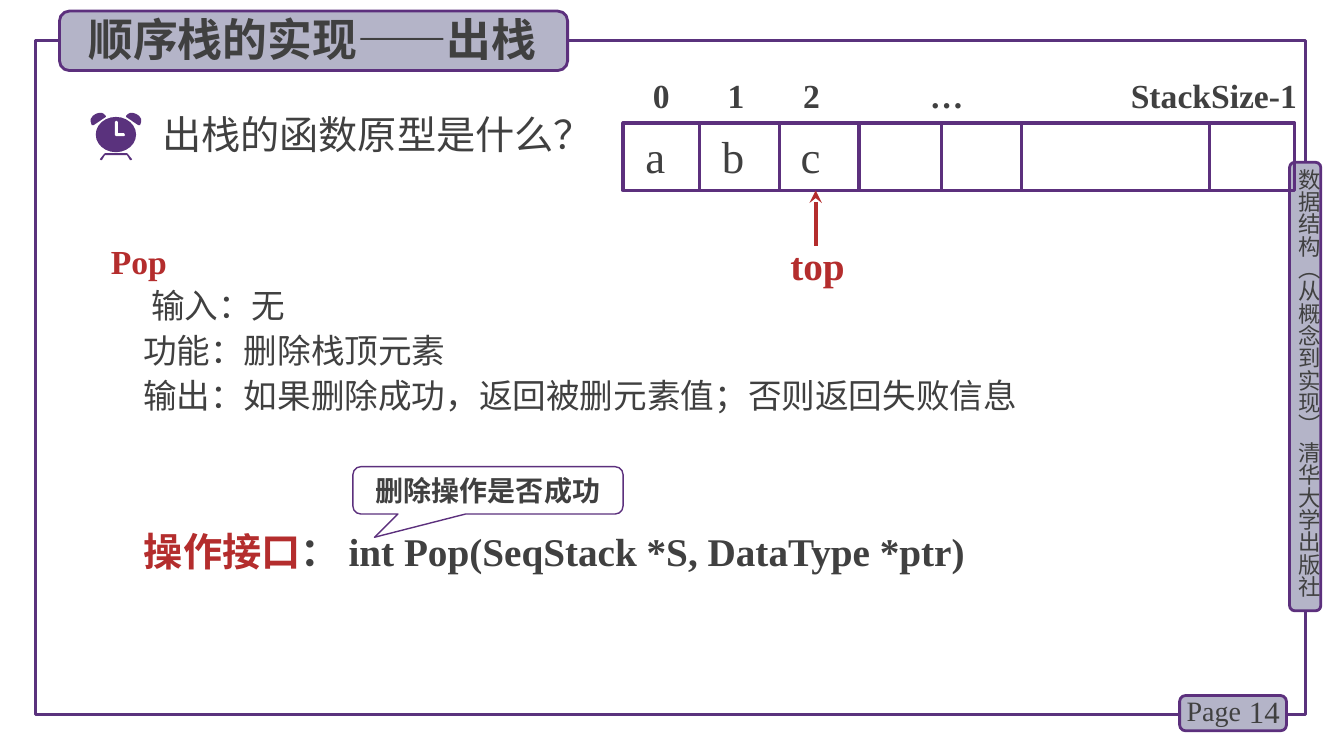
from lxml import etree
from pptx import Presentation
from pptx import util as u
from pptx.dml.color import RGBColor
from pptx.enum import shapes, text
from pptx.oxml import ns

PX = 9144  # EMU in one px, 100 px to the inch
PURPLE = RGBColor(0x5C, 0x30, 0x7D)
DEEP_PURPLE = RGBColor(0x5A, 0x32, 0x7D)
LILAC = RGBColor(0xB4, 0xB4, 0xC8)
RED = RGBColor(0xB4, 0x2D, 0x2D)
GREY = RGBColor(0x40, 0x40, 0x40)
WHITE = RGBColor(0xFF, 0xFF, 0xFF)
SERIF = "Times New Roman"
SANS = "Noto Sans CJK SC"
LEFT, CENTER, RIGHT = text.PP_ALIGN.LEFT, text.PP_ALIGN.CENTER, text.PP_ALIGN.RIGHT
TOP, MIDDLE = text.MSO_ANCHOR.TOP, text.MSO_ANCHOR.MIDDLE
KINDS = shapes.MSO_SHAPE


def px(*lengths):
    return [u.Emu(round(length * PX)) for length in lengths]


def add_run(paragraph, words, size, font=SERIF, color=GREY, bold=False):
    run = paragraph.add_run()
    run.text = words
    run.font.size = u.Pt(size)
    run.font.name = font
    run.font.bold = bold
    run.font.color.rgb = color
    east_asian = etree.SubElement(run.font._element, ns.qn("a:ea"))
    east_asian.set("typeface", SANS)


def add_text(slide, box, words, size, align=LEFT, anchor=TOP, wrap=True, **style):
    shape = slide.shapes.add_textbox(*px(*box))
    frame = shape.text_frame
    frame.word_wrap = wrap
    frame.vertical_anchor = anchor
    paragraph = frame.paragraphs[0]
    paragraph.alignment = align
    add_run(paragraph, words, size, **style)
    return shape


def paint(shape, fill=None, line=None, width=2):
    shape.shadow.inherit = False
    if fill is None:
        shape.fill.background()
    else:
        shape.fill.solid()
        shape.fill.fore_color.rgb = fill
    if line is None:
        shape.line.fill.background()
    else:
        shape.line.color.rgb = line
        shape.line.width = u.Pt(width)


def add_box(slide, kind, box, **look):
    shape = slide.shapes.add_shape(kind, *px(*box))
    paint(shape, **look)
    return shape


def add_line(slide, start, end, color, width, arrow=False):
    line = slide.shapes.add_connector(shapes.MSO_CONNECTOR.STRAIGHT, *px(*start, *end))
    line.line.color.rgb = color
    line.line.width = u.Pt(width)
    if arrow:
        tail = etree.SubElement(line.line._get_or_add_ln(), ns.qn("a:tailEnd"))
        tail.set("type", "stealth")
    etree.SubElement(line._element.spPr, ns.qn("a:effectLst"))


def add_outline(slide, points, fill):
    builder = slide.shapes.build_freeform(*points[0], scale=PX)
    builder.add_line_segments(points[1:], close=True)
    paint(builder.convert_to_shape(), fill=fill)


def mirrored(points, axis):
    return [(2 * axis - x, y) for x, y in points]


def add_frame(slide):
    add_box(slide, KINDS.RECTANGLE, (35, 40, 1260, 669), line=DEEP_PURPLE, width=2.25)

    # Vertical book label
    add_box(slide, KINDS.ROUNDED_RECTANGLE, (1279, 161, 31, 445), fill=LILAC, line=PURPLE)
    label = add_text(slide, (1285, 167, 27, 449), "数据结构（从概念到实现） 清华大学出版社", 16, font=SANS)
    frame = label.text_frame
    frame.margin_left = frame.margin_right = frame.margin_top = frame.margin_bottom = 0
    frame._txBody.bodyPr.set("vert", "eaVert")

    # Page number
    add_box(slide, KINDS.ROUNDED_RECTANGLE, (1170, 690, 106, 35), fill=LILAC, line=PURPLE)
    add_text(slide, (1220, 686, 59, 40), "14", 22, align=RIGHT, anchor=MIDDLE)
    add_text(slide, (1167, 683, 78, 44), "Page", 20, wrap=False)


def add_clock(slide):
    axis = 115
    bell = [(98, 112), (95, 113), (92, 115), (90, 118), (90, 121), (91, 124),
            (93, 124), (105, 116), (105, 115), (103, 113), (101, 112)]
    half_foot = [(115, 152), (104, 152), (103, 153), (99, 158), (100, 159),
                 (101, 159), (104, 154), (115, 154)]
    hands = [(114, 121), (115, 120), (116, 120), (117, 121), (117, 132),
             (123, 132), (124, 134), (123, 135), (115, 135), (114, 134)]
    add_outline(slide, half_foot + mirrored(half_foot, axis)[::-1], DEEP_PURPLE)
    for side in (bell, mirrored(bell, axis)):
        add_outline(slide, side, DEEP_PURPLE)
    add_box(slide, KINDS.OVAL, (95, 116, 40, 35), fill=DEEP_PURPLE)
    add_outline(slide, hands, WHITE)


def add_definition(slide):
    shape = add_text(slide, (100, 228, 1122, 190), "Pop", 24, anchor=MIDDLE, color=RED, bold=True)
    frame = shape.text_frame
    frame.paragraphs[0].line_spacing = u.Pt(32)
    for indent, words in ((40, "输入：无"), (32, "功能：删除栈顶元素"),
                          (32, "输出：如果删除成功，返回被删元素值；否则返回失败信息")):
        paragraph = frame.add_paragraph()
        paragraph.line_spacing = u.Pt(32)
        paragraph._p.get_or_add_pPr().set("marL", str(indent * PX))
        add_run(paragraph, words, 24, font=SANS)


def add_interface(slide):
    shape = add_text(slide, (133, 518, 900, 57), "操作接口", 28, font=SANS, color=RED, bold=True)
    add_run(shape.text_frame.paragraphs[0], "： int Pop(SeqStack *S, DataType *ptr)", 28, bold=True)

    callout = add_box(slide, KINDS.ROUNDED_RECTANGULAR_CALLOUT, (350, 463, 268, 47),
                      line=PURPLE, width=1)
    for index, value in enumerate((-0.42, 0.99, 0.17)):
        callout.adjustments[index] = value
    callout.text_frame.vertical_anchor = MIDDLE
    paragraph = callout.text_frame.paragraphs[0]
    paragraph.alignment = CENTER
    add_run(paragraph, "删除操作是否成功", 20, font="Calibri", bold=True)


def add_stack(slide):
    top, height = 122, 67
    bottom = top + height

    # Index labels by centre
    for center, words in ((656, "0"), (730, "1"), (805, "2"), (939, "…"), (1204, "StackSize-1")):
        add_text(slide, (center - 100, 69, 200, 50), words, 24, align=CENTER, bold=True)

    # Cells and their contents
    add_box(slide, KINDS.RECTANGLE, (618, top, 666, height), line=PURPLE, width=2.25)
    for x in (694, 773, 852, 934, 1013, 1200):
        add_line(slide, (x, top), (x, bottom), PURPLE, 2.25)
    for index, letter in enumerate("abc"):
        add_text(slide, (620 + 77 * index, 123, 60, 64), letter, 32, align=CENTER)

    # Pointer to the top element
    add_line(slide, (809, 244), (809, bottom), RED, 3, arrow=True)
    add_text(slide, (774, 234, 79, 57), "top", 28, color=RED, bold=True)


def main():
    presentation = Presentation()
    presentation.slide_width, presentation.slide_height = u.Inches(13.33), u.Inches(7.5)
    slide = presentation.slides.add_slide(presentation.slide_layouts[6])

    add_frame(slide)
    add_interface(slide)

    # Question with its clock
    add_text(slide, (151, 105, 533, 57), "出栈的函数原型是什么？", 28, font=SANS)
    add_clock(slide)
    add_definition(slide)

    # Title
    add_box(slide, KINDS.ROUNDED_RECTANGLE, (59, 11, 504, 59), fill=LILAC, line=PURPLE)
    add_text(slide, (73, 7, 474, 64), "顺序栈的实现——出栈", 32, align=CENTER, bold=True)

    add_stack(slide)
    presentation.save("out.pptx")


if __name__ == "__main__":
    main()
